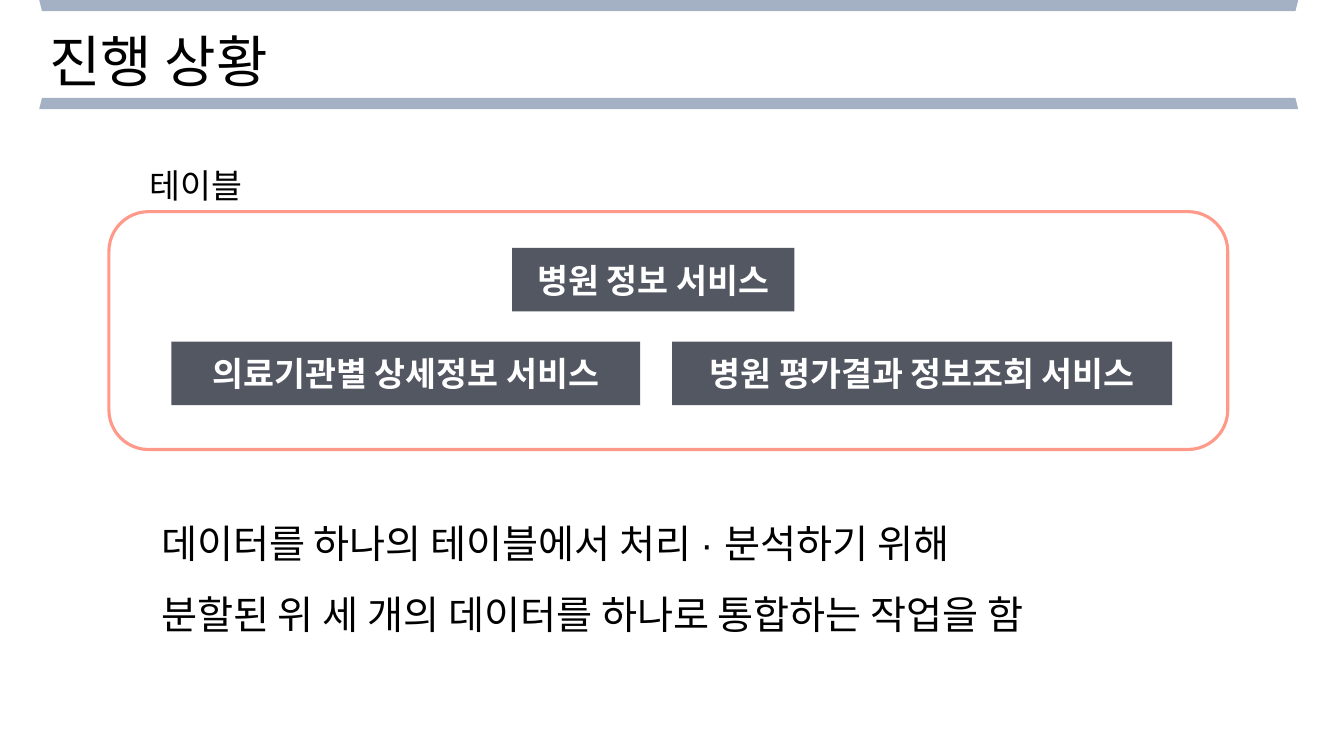
from dataclasses import dataclass

import pptx
import pptx.dml.color
import pptx.enum.shapes
import pptx.enum.text
import pptx.oxml
import pptx.oxml.ns
import pptx.shapes.autoshape
import pptx.util

Pt = pptx.util.Pt
MSO_SHAPE = pptx.enum.shapes.MSO_SHAPE
PP_ALIGN = pptx.enum.text.PP_ALIGN
MSO_ANCHOR = pptx.enum.text.MSO_ANCHOR
RGB = pptx.dml.color.RGBColor.from_string


@dataclass(frozen=True)
class Theme:
    font: str = "Arial"
    text: str = "000000"
    inverse: str = "FFFFFF"
    bar: str = "A4B1C4"
    box: str = "404551"
    frame: str = "FF9A8B"
    box_alpha: int = 90
    title_size: int = 40
    body_size: int = 28
    label_size: int = 24


@dataclass(frozen=True)
class Area:
    left: float
    top: float
    width: float
    height: float

    def lengths(self) -> tuple:
        return Pt(self.left), Pt(self.top), Pt(self.width), Pt(self.height)


@dataclass(frozen=True)
class Bar:
    top: float
    rotation: int


@dataclass(frozen=True)
class Service:
    name: str
    left: float
    top: float
    width: float


THEME = Theme()
BAR_LEFT, BAR_WIDTH, BAR_HEIGHT = 28, 899.3, 8
SERVICE_HEIGHT = 45.4
ROW_TOPS = (177.1, 244.1)

TITLE_AREA = Area(28, 15.1, 190, 55.4)
LABEL_AREA = Area(100, 114.5, 87.1, 36.3)
FRAME_AREA = Area(77.8, 151.2, 799.2, 169.9)
BODY_AREA = Area(108, 350.6, 716.4, 108.7)

BARS = (Bar(0, 180), Bar(70, 0))
SERVICES = (
    Service("병원 정보 서비스", 365.8, ROW_TOPS[0], 201.6),
    Service("의료기관별 상세정보 서비스", 122.4, ROW_TOPS[1], 334.8),
    Service("병원 평가결과 정보조회 서비스", 480.2, ROW_TOPS[1], 357.1),
)
BODY = (
    "데이터를 하나의 테이블에서 처리 · 분석하기 위해",
    "분할된 위 세 개의 데이터를 하나로 통합하는 작업을 함",
)


def write(tf, lines: tuple, size: int, color: str, align=PP_ALIGN.LEFT,
          bold: bool = False, spacing: float = 1.0) -> None:
    for i, line in enumerate(lines):
        p = tf.add_paragraph() if i else tf.paragraphs[0]
        p.alignment = align
        p.line_spacing = spacing
        r = p.add_run()
        r.text = line
        r.font.name = THEME.font
        r.font.size = Pt(size)
        r.font.bold = bold
        r.font.color.rgb = RGB(color)


def fit(tf) -> None:
    tf.word_wrap = False
    tf.auto_size = pptx.enum.text.MSO_AUTO_SIZE.SHAPE_TO_FIT_TEXT
    tf.vertical_anchor = MSO_ANCHOR.TOP


def add_shape(shapes, kind, area: Area) -> pptx.shapes.autoshape.Shape:
    sp = shapes.add_shape(kind, *area.lengths())
    sp.shadow.inherit = False
    sp.line.fill.background()
    return sp


def fill(sp, color: str) -> None:
    sp.fill.solid()
    sp.fill.fore_color.rgb = RGB(color)


def set_title(s, text: str) -> None:
    sp = s.shapes.title
    sp.left, sp.top, sp.width, sp.height = TITLE_AREA.lengths()
    fit(sp.text_frame)
    write(sp.text_frame, (text,), THEME.title_size, THEME.text)


def add_text(s, area: Area, lines: tuple, size: int, spacing: float = 1.0) -> None:
    tf = s.shapes.add_textbox(*area.lengths()).text_frame
    fit(tf)
    write(tf, lines, size, THEME.text, spacing=spacing)


def add_bar(s, bar: Bar) -> None:
    area = Area(BAR_LEFT, bar.top, BAR_WIDTH, BAR_HEIGHT)
    sp = add_shape(s.shapes, MSO_SHAPE.TRAPEZOID, area)
    sp.rotation = bar.rotation
    fill(sp, THEME.bar)


def add_service(shapes, service: Service) -> None:
    area = Area(service.left, service.top, service.width, SERVICE_HEIGHT)
    sp = add_shape(shapes, MSO_SHAPE.RECTANGLE, area)
    fill(sp, THEME.box)
    clr = sp._element.spPr.find(".//" + pptx.oxml.ns.qn("a:srgbClr"))
    clr.append(pptx.oxml.parse_xml(
        f'<a:alpha {pptx.oxml.ns.nsdecls("a")} val="{THEME.box_alpha * 1000}"/>'))
    tf = sp.text_frame
    tf.vertical_anchor = MSO_ANCHOR.MIDDLE
    write(tf, (service.name,), THEME.label_size, THEME.inverse,
          PP_ALIGN.CENTER, bold=True)


def add_frame(shapes) -> None:
    sp = add_shape(shapes, MSO_SHAPE.ROUNDED_RECTANGLE, FRAME_AREA)
    sp.fill.background()
    sp.line.color.rgb = RGB(THEME.frame)
    sp.line.width = Pt(2.25)


def main() -> None:
    prs = pptx.Presentation()
    prs.slide_width, prs.slide_height = Pt(960), Pt(540)
    s = prs.slides.add_slide(prs.slide_layouts.get_by_name("Title Only"))
    set_title(s, "진행 상황")
    for bar in BARS:
        add_bar(s, bar)
    add_text(s, BODY_AREA, BODY, THEME.body_size, spacing=1.5)
    group = s.shapes.add_group_shape()
    for service in SERVICES:
        add_service(group.shapes, service)
    add_frame(group.shapes)
    add_text(s, LABEL_AREA, ("테이블",), THEME.label_size)
    prs.save("out.pptx")


if __name__ == "__main__":
    main()
